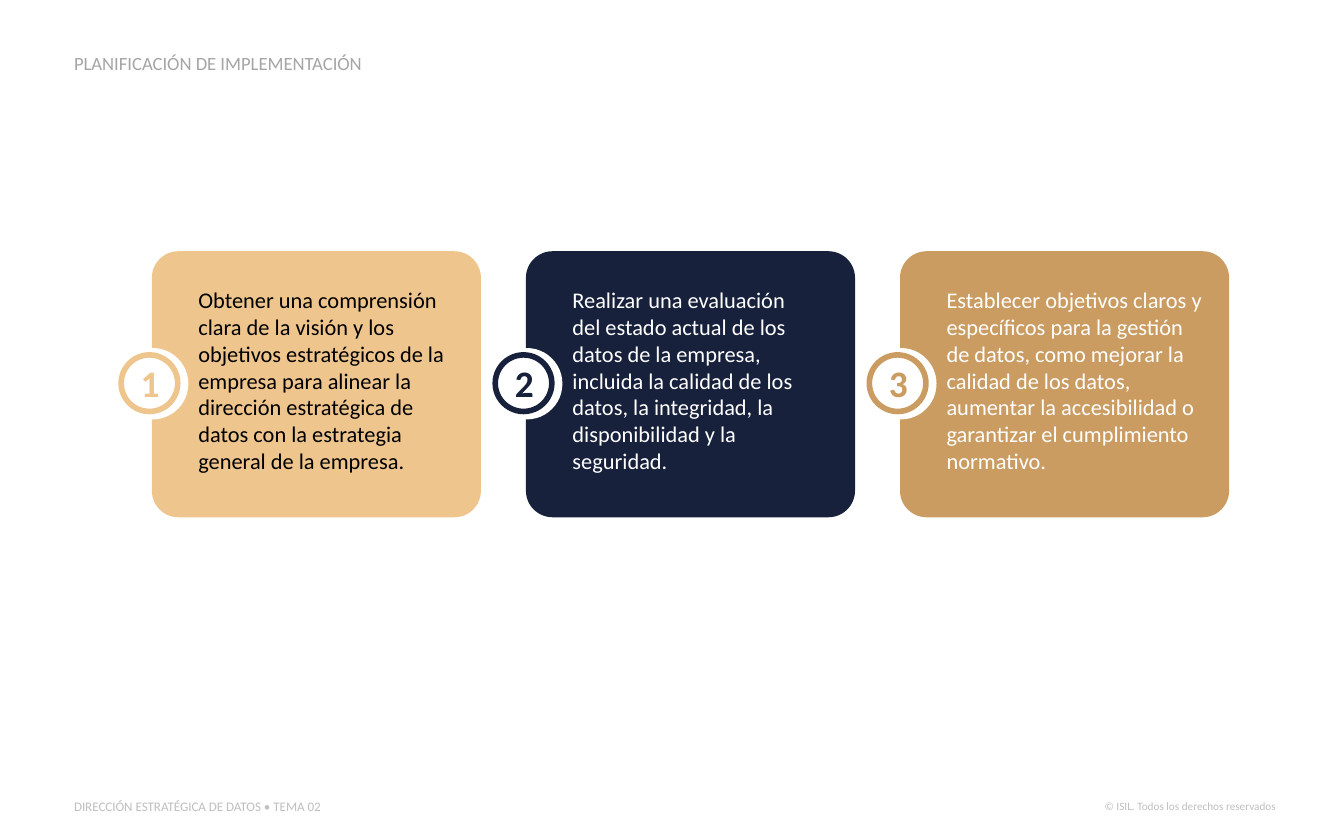
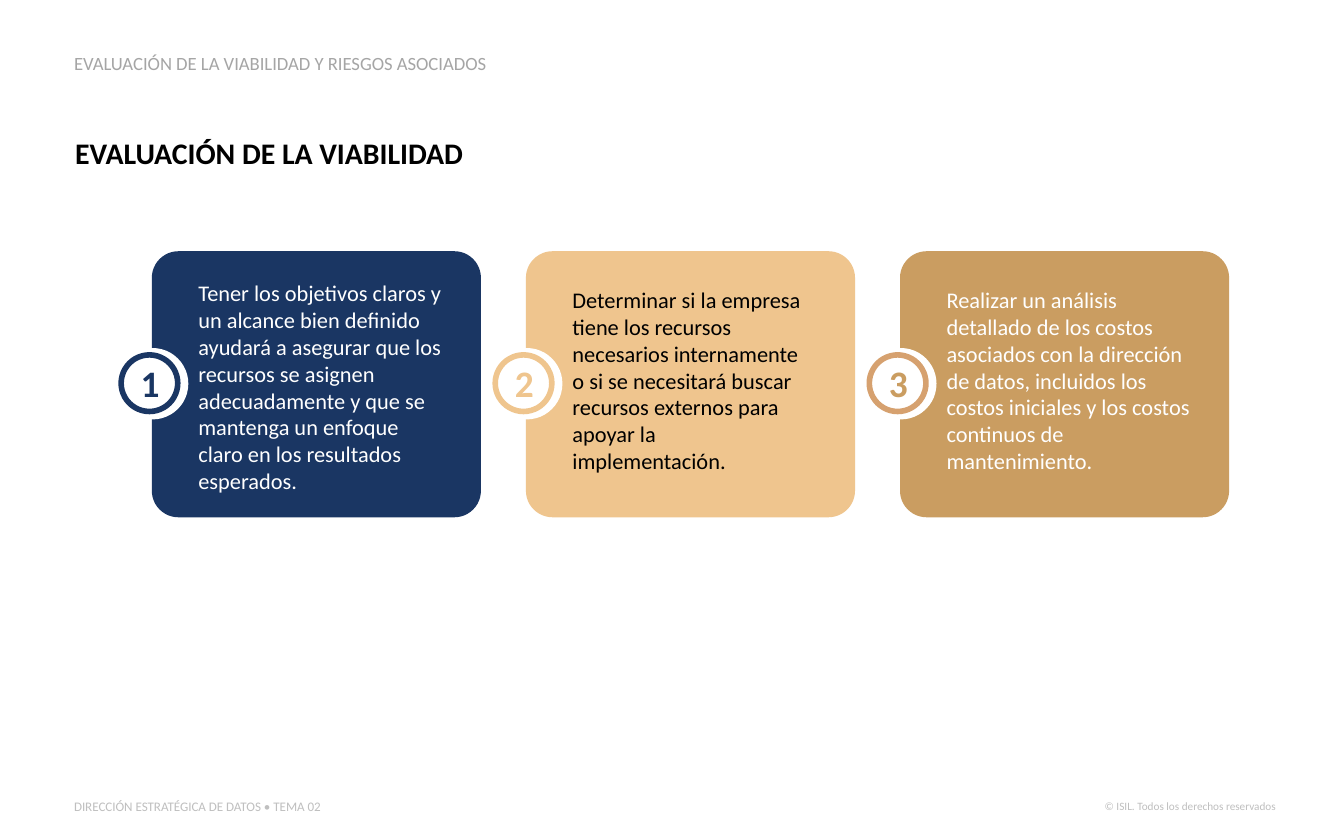
from typing import NamedTuple

from pptx import Presentation
from pptx.dml.color import RGBColor
from pptx.enum.shapes import MSO_SHAPE as Shape
from pptx.enum.text import MSO_ANCHOR as Anchor
from pptx.enum.text import MSO_AUTO_SIZE as AutoSize
from pptx.enum.text import PP_ALIGN as Align
from pptx.util import Cm, Pt

WHITE = RGBColor(0xFF, 0xFF, 0xFF)
BLACK = RGBColor(0x00, 0x00, 0x00)
TITLE_GRAY = RGBColor(0xA5, 0xA5, 0xA5)
FOOTER_GRAY = RGBColor(0xBF, 0xBF, 0xBF)
SAND = RGBColor(0xEF, 0xC5, 0x8E)
NAVY = RGBColor(0x18, 0x21, 0x3C)
BLUE = RGBColor(0x1A, 0x36, 0x63)
BRONZE = RGBColor(0xCA, 0x9C, 0x61)
OCHRE = RGBColor(0xCA, 0x9D, 0x61)
COPPER = RGBColor(0xD6, 0xA1, 0x6F)

FONT = "Calibri"
NO_INSETS = (0, 0, 0, 0)
INSETS = (0.25, 0.13, 0.25, 0.13)
MARGIN = 1.4

CARD_LEFT, CARD_TOP = 2.87, 4.75
CARD_WIDTH, CARD_HEIGHT = 6.22, 5.03
CARD_STEP = 7.07
BODY_WIDTHS = (4.67, 4.5, 4.93)
BODY_TOP, BODY_HEIGHT = 5.41, 3.58


class Card(NamedTuple):
    text: str
    fill: RGBColor
    text_color: RGBColor = WHITE
    ring_color: RGBColor = None
    body_top: float = BODY_TOP
    body_height: float = BODY_HEIGHT


PLANNING_CARDS = (
    Card("Obtener una comprensión clara de la visión y los objetivos "
         "estratégicos de la empresa para alinear la dirección estratégica "
         "de datos con la estrategia general de la empresa.", SAND, BLACK),
    Card("Realizar una evaluación del estado actual de los datos de la "
         "empresa, incluida la calidad de los datos, la integridad, la "
         "disponibilidad y la seguridad.", NAVY),
    Card("Establecer objetivos claros y específicos para la gestión de "
         "datos, como mejorar la calidad de los datos, aumentar la "
         "accesibilidad o garantizar el cumplimiento normativo.", BRONZE),
)
VIABILITY_CARDS = (
    Card("Tener los objetivos claros y un alcance bien definido ayudará a "
         "asegurar que los recursos se asignen adecuadamente y que se "
         "mantenga un enfoque claro en los resultados esperados.", BLUE,
         body_top=5.28, body_height=4.11),
    Card("Determinar si la empresa tiene los recursos necesarios "
         "internamente o si se necesitará buscar recursos externos para "
         "apoyar la implementación.", SAND, BLACK),
    Card("Realizar un análisis detallado de los costos asociados con la "
         "dirección de datos, incluidos los costos iniciales y los costos "
         "continuos de mantenimiento.", OCHRE, ring_color=COPPER),
)


def add_text(shapes, text, left, top, width, height, size, color,
             insets=NO_INSETS, bold=False, align=Align.LEFT, anchor=Anchor.TOP):
    """Add a one-paragraph text box, with lengths in cm, and return its paragraph."""
    box = shapes.add_textbox(Cm(left), Cm(top), Cm(width), Cm(height))
    frame = box.text_frame
    frame.word_wrap = True
    frame.auto_size = AutoSize.SHAPE_TO_FIT_TEXT
    frame.vertical_anchor = anchor
    (frame.margin_left, frame.margin_top,
     frame.margin_right, frame.margin_bottom) = map(Cm, insets)
    paragraph = frame.paragraphs[0]
    paragraph.text = text
    paragraph.alignment = align
    paragraph.font.name = FONT
    paragraph.font.size = Pt(size)
    paragraph.font.bold = bold
    paragraph.font.color.rgb = color
    return paragraph


def add_filled_shape(shapes, kind, left, top, width, height, fill, line=None):
    shape = shapes.add_shape(kind, Cm(left), Cm(top), Cm(width), Cm(height))
    shape.shadow.inherit = False
    shape.fill.solid()
    shape.fill.fore_color.rgb = fill
    if line is None:
        shape.line.fill.background()
    else:
        shape.line.color.rgb = line
        shape.line.width = Pt(3)
    return shape


def add_card(slide, index, card):
    """Add a rounded card with its numbered ring on the left edge."""
    shapes = slide.shapes.add_group_shape().shapes
    left = CARD_LEFT + index * CARD_STEP
    panel = add_filled_shape(shapes, Shape.ROUNDED_RECTANGLE, left, CARD_TOP,
                             CARD_WIDTH, CARD_HEIGHT, card.fill)
    panel.adjustments[0] = 0.1
    add_filled_shape(shapes, Shape.OVAL, left - 0.66, 6.58, 1.35, 1.35, WHITE)
    add_text(shapes, card.text, left + 0.88, card.body_top, BODY_WIDTHS[index],
             card.body_height, 12, card.text_color)
    add_filled_shape(shapes, Shape.OVAL, left - 0.58, 6.71, 1.07, 1.07, WHITE,
                     card.ring_color or card.fill)
    add_text(shapes, str(index + 1), left - 0.46, 6.68, 0.61, 1.12, 20,
             card.fill, INSETS, bold=True)


def add_footer(slide):
    add_text(slide.shapes, "© ISIL. Todos los derechos reservados",
             20.55, 14.99, 3.81, 0.51, 6, FOOTER_GRAY, INSETS, align=Align.RIGHT)
    add_text(slide.shapes, "DIRECCIÓN ESTRATÉGICA DE DATOS • TEMA 02",
             MARGIN, 14.96, 7.77, 0.56, 7, FOOTER_GRAY, (0, 0.13, 0.25, 0.13))


def add_cards_slide(presentation, title, cards, heading=None):
    slide = presentation.slides.add_slide(presentation.slide_layouts[6])
    add_footer(slide)
    paragraph = add_text(slide.shapes, title, MARGIN, 1.04, 10.29, 0.38, 10,
                         TITLE_GRAY, anchor=Anchor.BOTTOM)
    paragraph.line_spacing = 0.9
    if heading:
        add_text(slide.shapes, heading, 1.42, 2.54, 10.44, 0.69, 16, BLACK,
                 bold=True)
    for index, card in enumerate(cards):
        add_card(slide, index, card)


def main():
    presentation = Presentation()
    presentation.slide_width = Cm(25.4)
    presentation.slide_height = Cm(15.88)
    add_cards_slide(presentation, "PLANIFICACIÓN DE IMPLEMENTACIÓN",
                    PLANNING_CARDS)
    add_cards_slide(presentation,
                    "EVALUACIÓN DE LA VIABILIDAD Y RIESGOS ASOCIADOS",
                    VIABILITY_CARDS, heading="EVALUACIÓN DE LA VIABILIDAD")
    presentation.save("out.pptx")


if __name__ == "__main__":
    main()
